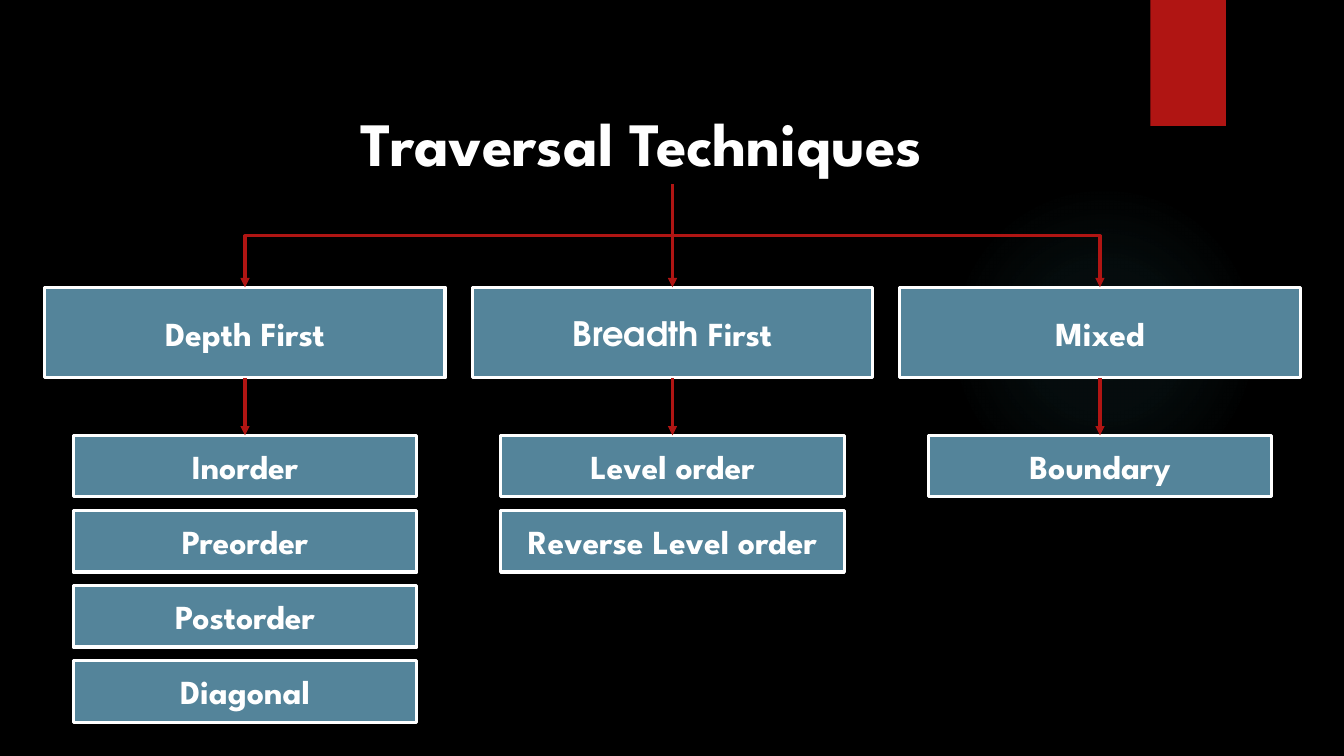
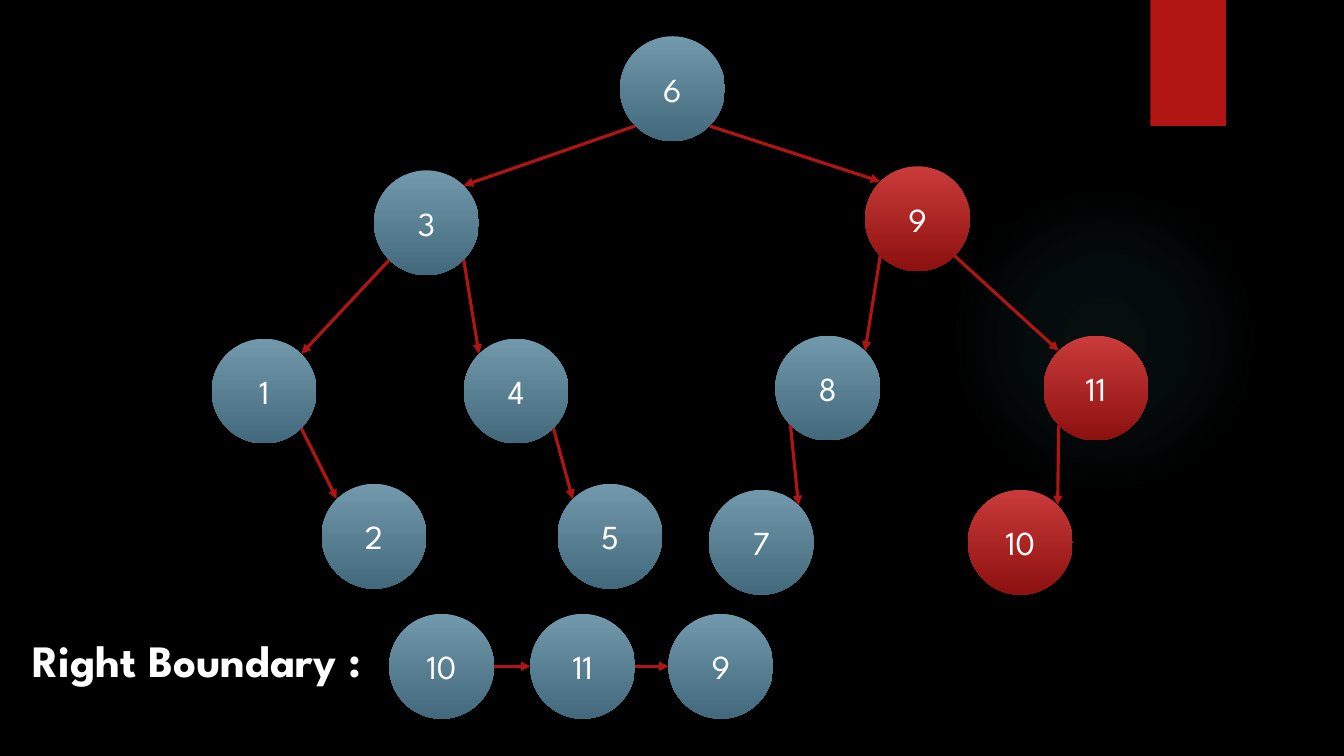
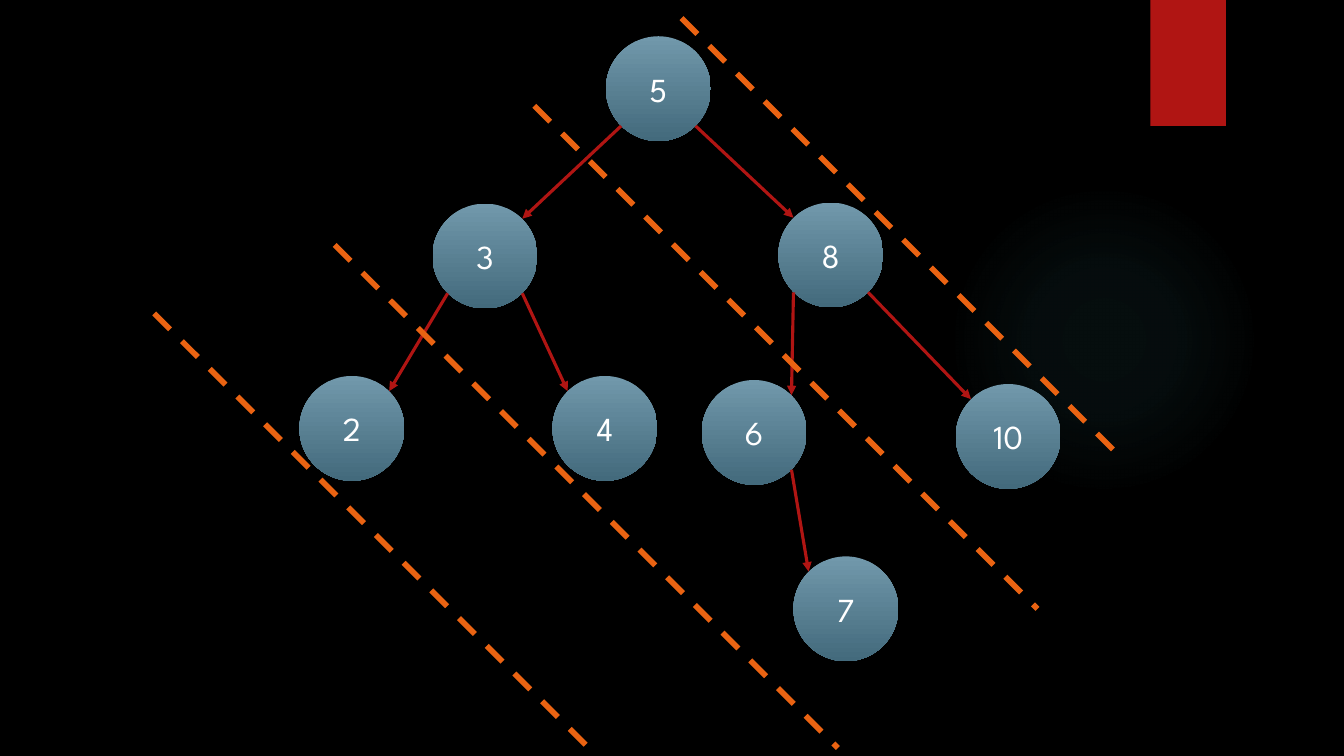
from pptx import Presentation
from pptx.dml.color import RGBColor
from pptx.enum.dml import MSO_LINE
from pptx.enum.shapes import MSO_CONNECTOR, MSO_SHAPE
from pptx.enum.text import MSO_ANCHOR, MSO_AUTO_SIZE, PP_ALIGN
from pptx.oxml import parse_xml
from pptx.oxml.ns import nsdecls
from pptx.oxml.xmlchemy import OxmlElement
from pptx.util import Inches, Pt

STRAIGHT, ELBOW = MSO_CONNECTOR.STRAIGHT, MSO_CONNECTOR.ELBOW
RECTANGLE, OVAL = MSO_SHAPE.RECTANGLE, MSO_SHAPE.OVAL
LEFT, CENTER = PP_ALIGN.LEFT, PP_ALIGN.CENTER
TOP, MIDDLE = MSO_ANCHOR.TOP, MSO_ANCHOR.MIDDLE
FIXED_SIZE = MSO_AUTO_SIZE.NONE
DASH = MSO_LINE.DASH

COLORS = {
    "black": "000000", "white": "FFFFFF", "red": "B01513", "box": "54849A",
    "orange": "EA6312", "glow": "50B9C1",
    "blue top": "7198AB", "blue bottom": "436A7C",
    "red top": "C93B3A", "red bottom": "8D110F",
}
RGB = {name: RGBColor.from_string(value) for name, value in COLORS.items()}
FONT = "League Spartan"
WORD_FONTS = {"Breadth": "TeX Gyre Adventor"}


def write_text(shape, pieces, size, bold, align, anchor):
    frame = shape.text_frame
    frame.word_wrap = True
    frame.auto_size = FIXED_SIZE
    frame.vertical_anchor = anchor
    paragraph = frame.paragraphs[0]
    paragraph.text = pieces[0]
    paragraph.alignment = align
    for piece in pieces[1:]:
        paragraph.add_run().text = piece
    for run in paragraph.runs:
        run.font.name = WORD_FONTS.get(run.text, FONT)
        run.font.size = Pt(size)
        run.font.bold = bold
        run.font.color.rgb = RGB["white"]


def draw_line(slide, kind, begin, end, color="red", width=2.25, arrow=True):
    points = [Inches(value) for value in (*begin, *end)]
    connector = slide.shapes.add_connector(kind, *points)
    connector.line.color.rgb = RGB[color]
    connector.line.width = Pt(width)
    if arrow:
        head = OxmlElement("a:tailEnd")
        head.set("type", "triangle")
        connector.line._get_or_add_ln().append(head)
    connector._element.spPr.append(OxmlElement("a:effectLst"))
    return connector


presentation = Presentation()
presentation.slide_width = Inches(13.33)
presentation.slide_height = Inches(7.5)
title_only, blank = presentation.slide_layouts[5], presentation.slide_layouts[6]
master = presentation.slide_master
master.background.fill.solid()
master.background.fill.fore_color.rgb = RGB["black"]

slide = presentation.slides.add_slide(title_only)
glow = slide.shapes.add_shape(OVAL, Inches(9.41), Inches(1.83), Inches(3.08), Inches(3.08))
stops = "".join(
    f'<a:gs pos="{position * 1000}"><a:srgbClr val="{COLORS["glow"]}">'
    f'<a:alpha val="{alpha * 1000}"/></a:srgbClr></a:gs>'
    for position, alpha in ((0, 7), (36, 6), (69, 0), (100, 0))
)
glow._element.spPr.insert(2, parse_xml(
    f'<a:gradFill {nsdecls("a")}><a:gsLst>{stops}</a:gsLst><a:path path="circle">'
    '<a:fillToRect l="50000" t="50000" r="50000" b="50000"/></a:path></a:gradFill>'
))
band = slide.shapes.add_shape(RECTANGLE, Inches(11.41), 0, Inches(0.75), Inches(1.25))
band.fill.solid()
band.fill.fore_color.rgb = RGB["red"]
for number, shape in enumerate((glow, band)):
    shape.line.fill.background()
    shape.shadow.inherit = False
    shape._element.nvSpPr.cNvPr.set("id", str(100 + number))
    master.shapes._spTree.insert(2 + number, shape._element)

title = slide.shapes.title
title.left, title.top = Inches(3.48), Inches(0.99)
title.width, title.height = Inches(6.38), Inches(0.84)
write_text(title, ["Traversal Techniques"], 44, True, LEFT, TOP)

column_centers = [2.43 + 4.24 * column for column in range(3)]
title_bottom, heading_top, heading_height = 1.83, 2.85, 0.9
item_top, item_pitch, item_height = 4.32, 0.745, 0.61
columns = [
    (["Depth First"], ["Inorder", "Preorder", "Postorder", "Diagonal"]),
    (["Breadth", " First"], ["Level order", "Reverse Level order"]),
    (["Mixed"], ["Boundary"]),
]
middle = column_centers[1]
for center, (heading, items) in zip(column_centers, columns):
    rows = [(heading, heading_top, 3.97, heading_height)]
    rows += [([item], item_top + item_pitch * row, 3.41, item_height)
             for row, item in enumerate(items)]
    boxes = []
    for pieces, top, width, height in rows:
        box = slide.shapes.add_shape(
            RECTANGLE, Inches(center - width / 2), Inches(top), Inches(width), Inches(height))
        box.shadow.inherit = False
        box.fill.solid()
        box.fill.fore_color.rgb = RGB["box"]
        box.line.color.rgb = RGB["white"]
        box.line.width = Pt(2.25)
        write_text(box, pieces, 24, True, CENTER, MIDDLE)
        boxes.append(box)
    arrow = draw_line(slide, STRAIGHT, (center, heading_top + heading_height), (center, item_top))
    arrow.begin_connect(boxes[0], 2)
    arrow.end_connect(boxes[1], 0)
    if center == middle:
        stem = draw_line(slide, STRAIGHT, (center, title_bottom), (center, heading_top))
        stem.begin_connect(title, 2)
        stem.end_connect(boxes[0], 0)
    else:
        drop, span = heading_top - title_bottom, abs(center - middle)
        left = (center + middle - drop) / 2
        top = (title_bottom + heading_top - span) / 2
        ends = [left, left + drop]
        if center > middle:
            ends.reverse()
        branch = draw_line(slide, ELBOW, (ends[0], top), (ends[1], top + span))
        turn = 90 if center < middle else 270
        branch._element.spPr.xfrm.set("rot", str(turn * 60000))

diameter = 1.04
near, far = 0.15, 0.89
boundary_tree = {
    6: (6.15, 0.36, None), 3: (3.71, 1.69, 6), 9: (8.58, 1.65, 6),
    1: (2.1, 3.36, 3), 4: (4.6, 3.36, 3), 8: (7.69, 3.33, 9), 11: (10.35, 3.33, 9),
    2: (3.19, 4.8, 1), 5: (5.53, 4.8, 4), 7: (7.03, 4.86, 8), 10: (9.6, 4.86, 11),
}
diagonal_tree = {
    5: (6.01, 0.36, None), 3: (4.29, 2.02, 5), 8: (7.72, 2.01, 5),
    2: (2.97, 3.73, 3), 4: (5.48, 3.73, 3), 6: (6.96, 3.77, 8), 10: (9.48, 3.81, 8),
    7: (7.87, 5.52, 6),
}
chain_top = 6.09
right_boundary = [(10, 3.86), (11, 5.26), (9, 6.63)]
tree_slides = [(boundary_tree, right_boundary), (diagonal_tree, [])]

for tree, chain in tree_slides:
    slide = presentation.slides.add_slide(blank)
    marked = {value for value, left in chain}
    circles = [(value, left, top, "red" if value in marked else "blue")
               for value, (left, top, parent) in tree.items()]
    circles += [(value, left, chain_top, "blue") for value, left in chain]
    for value, left, top, tone in circles:
        circle = slide.shapes.add_shape(
            OVAL, Inches(left), Inches(top), Inches(diameter), Inches(diameter))
        circle.shadow.inherit = False
        circle.line.fill.background()
        circle.fill.gradient()
        circle.fill.gradient_angle = 270
        for stop, position, edge in zip(circle.fill.gradient_stops, (0, 1), ("top", "bottom")):
            stop.position = position
            stop.color.rgb = RGB[f"{tone} {edge}"]
        write_text(circle, [str(value)], 24, False, CENTER, MIDDLE)
    for value, (left, top, parent) in tree.items():
        if parent is not None:
            parent_left, parent_top, _ = tree[parent]
            start, finish = (near, far) if value < parent else (far, near)
            draw_line(slide, STRAIGHT, (parent_left + start, parent_top + far),
                      (left + finish, top + near))
    chain_middle = chain_top + diameter / 2
    for (_, left), (_, next_left) in zip(chain, chain[1:]):
        draw_line(slide, STRAIGHT, (left + diameter, chain_middle), (next_left, chain_middle))
    if chain:
        caption = slide.shapes.add_textbox(Inches(0.22), Inches(6.23), Inches(3.74), Inches(0.64))
        write_text(caption, ["Right Boundary :"], 32, True, LEFT, TOP)

for left, top, reach in ((6.76, 0.18, 4.37), (5.3, 1.05, 4.99), (3.32, 2.43, 4.99), (1.53, 3.11, 4.37)):
    diagonal = draw_line(slide, STRAIGHT, (left, top), (left + reach, top + reach),
                         "orange", 4, False)
    diagonal.line.dash_style = DASH

presentation.save("out.pptx")
